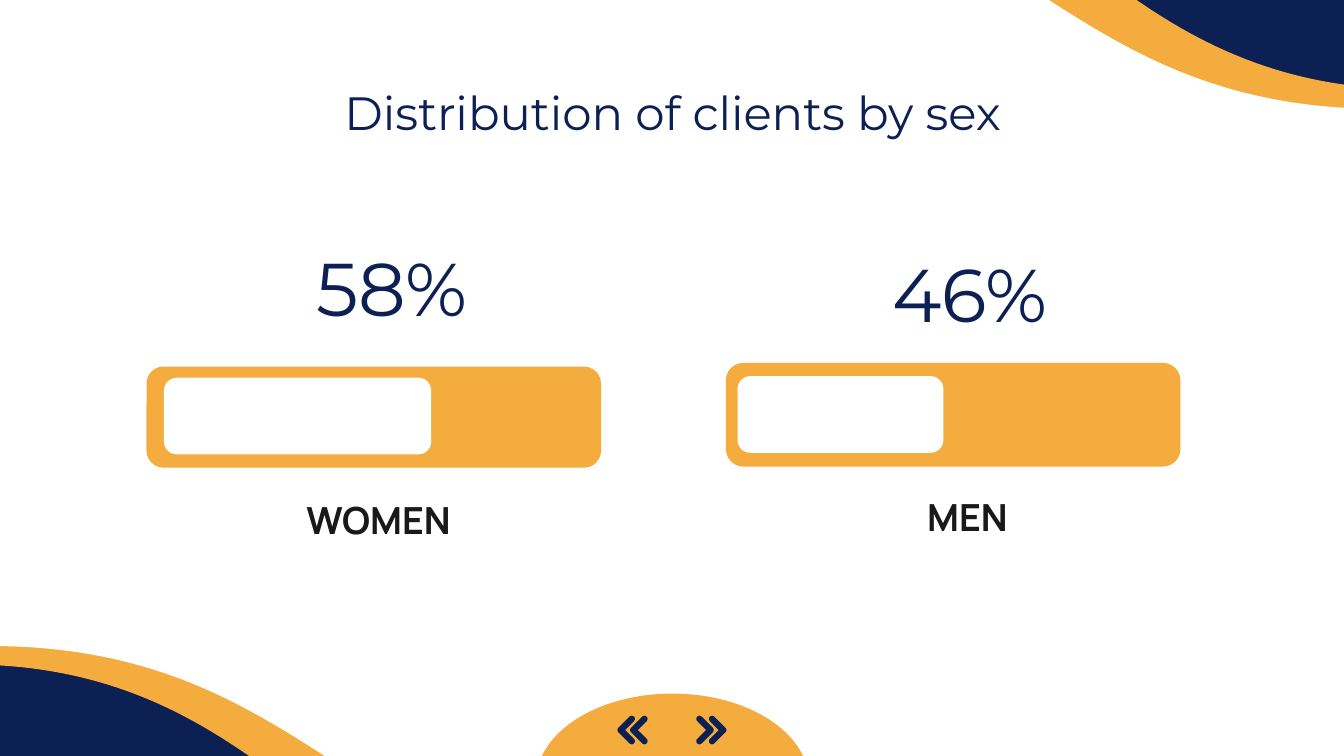
from dataclasses import dataclass
from math import cos, radians, sin, sqrt
from typing import NamedTuple

from pptx import Presentation
from pptx.dml.color import RGBColor
from pptx.enum.shapes import MSO_SHAPE
from pptx.enum.text import MSO_ANCHOR, MSO_AUTO_SIZE, PP_ALIGN
from pptx.oxml.ns import qn
from pptx.util import Cm, Pt

ROUNDED = MSO_SHAPE.ROUNDED_RECTANGLE
WAVE = MSO_SHAPE.FLOWCHART_DOCUMENT
PIE = MSO_SHAPE.PIE
CENTER = PP_ALIGN.CENTER
MIDDLE = MSO_ANCHOR.MIDDLE
NO_AUTOFIT = MSO_AUTO_SIZE.NONE
TITLE_ONLY = 5
PAGE_WIDTH, PAGE_HEIGHT = 25.4, 14.29


class Box(NamedTuple):
    """Position and size in centimetres."""
    left: float
    top: float
    width: float
    height: float

    def lengths(self):
        return [Cm(value) for value in self]


class TextStyle(NamedTuple):
    font: str
    size: int
    color: str
    bold: bool = False


@dataclass(frozen=True)
class Theme:
    navy: str = "0C2054"
    orange: str = "F3AC3D"
    white: str = "FFFFFF"
    title: TextStyle = TextStyle("Montserrat", 25, "0C2054")
    percent: TextStyle = TextStyle("Montserrat", 40, "0C2054")
    label: TextStyle = TextStyle("Manrope", 20, "191919", True)


class Wave(NamedTuple):
    box: Box
    color: str
    rotation: int


class Share(NamedTuple):
    percent: str
    percent_box: Box
    label: str
    label_box: Box
    track: Box
    level: Box


THEME = Theme()

WAVES = [
    Wave(Box(-0.61, -6.1, 14.22, 23.27), THEME.orange, 0),
    Wave(Box(12.52, -2.92, 14.22, 23.27), THEME.orange, 180),
    Wave(Box(-0.18, -3.53, 14.22, 19.63), THEME.white, 0),
    Wave(Box(11.89, -1.83, 14.22, 19.63), THEME.white, 180),
]

SHARES = [
    Share("58%", Box(4.09, 4.7, 6.63, 1.45), "WOMEN", Box(3.84, 9.04, 6.63, 1.55),
          Box(2.77, 6.93, 8.59, 1.91), Box(3.1, 7.14, 5.05, 1.45)),
    Share("46%", Box(15.01, 4.8, 6.63, 1.45), "MEN", Box(15.01, 9.17, 6.55, 1.19),
          Box(13.72, 6.86, 8.59, 1.96), Box(13.94, 7.11, 3.89, 1.45)),
]


def paint(shape, color: str) -> None:
    shape.shadow.inherit = False
    shape.fill.solid()
    shape.fill.fore_color.rgb = RGBColor.from_string(color)
    shape.line.fill.background()


def add_filled(page, kind, box: Box, color: str, adjustments=()):
    shape = page.shapes.add_shape(kind, *box.lengths())
    for index, value in enumerate(adjustments):
        shape.adjustments[index] = value
    paint(shape, color)
    return shape


def mirror(shape, rotation: int) -> None:
    """Flip a shape horizontally and turn it."""
    shape.rotation = rotation
    shape.element.spPr.find(qn("a:xfrm")).set("flipH", "1")


def write(shape, text: str, style: TextStyle) -> None:
    frame = shape.text_frame
    frame.text = text
    frame.word_wrap = True
    frame.auto_size = NO_AUTOFIT
    frame.vertical_anchor = MIDDLE
    frame.margin_left = frame.margin_right = Cm(0.25)
    frame.margin_top = frame.margin_bottom = Cm(0.25)
    para = frame.paragraphs[0]
    para.alignment = CENTER
    font = para.runs[0].font
    font.name, font.size, font.bold = style.font, Pt(style.size), style.bold
    font.color.rgb = RGBColor.from_string(style.color)


def add_title(page, text: str, box: Box) -> None:
    title = page.shapes.title
    title.left, title.top, title.width, title.height = box.lengths()
    write(title, text, THEME.title)
    page.shapes.element.append(title.element)  # in front of the waves


def add_share(page, share: Share) -> None:
    add_filled(page, ROUNDED, share.track, THEME.orange, [0.167])
    add_filled(page, ROUNDED, share.level, THEME.white, [0.167])
    for text, box, style in ((share.percent, share.percent_box, THEME.percent),
                             (share.label, share.label_box, THEME.label)):
        write(page.shapes.add_textbox(*box.lengths()), text, style)


def arc(x: float, y: float, radius: float, start: int, end: int):
    step = 15 if end > start else -15
    return [(x + radius * cos(radians(angle)), y + radius * sin(radians(angle)))
            for angle in range(start, end + step, step)]


def add_double_chevron(page, direction: int) -> None:
    """Two round-ended chevrons; direction is 1 for right, -1 for left."""
    arm, radius, middle = 0.21, 0.06, 13.8
    group = page.shapes.add_group_shape()
    for tip in (0.73, 0.97):
        outline = arc(tip - arm, middle - arm, radius, -45, -225)
        outline.append((tip - radius * sqrt(2), middle))
        outline += arc(tip - arm, middle + arm, radius, 225, 45)
        outline += arc(tip, middle, radius, 45, -45)
        points = [(Cm(PAGE_WIDTH / 2 + direction * x), Cm(y)) for x, y in outline]
        builder = group.shapes.build_freeform(*points[0])
        builder.add_line_segments(points[1:], close=True)
        paint(builder.convert_to_shape(), THEME.navy)


def main() -> None:
    deck = Presentation()
    deck.slide_width, deck.slide_height = Cm(PAGE_WIDTH), Cm(PAGE_HEIGHT)
    page = deck.slides.add_slide(deck.slide_layouts[TITLE_ONLY])
    page.background.fill.solid()
    page.background.fill.fore_color.rgb = RGBColor.from_string(THEME.navy)

    for wave in WAVES:
        mirror(add_filled(page, WAVE, wave.box, wave.color), wave.rotation)
    add_title(page, "Distribution of clients by sex", Box(2.03, 1.47, 21.36, 1.3))
    for share in SHARES:
        add_share(page, share)

    dome = add_filled(page, PIE, Box(10.13, 13.11, 5.16, 3.33), THEME.orange, [0, 108.31])
    mirror(dome, 180)
    for direction in (1, -1):
        add_double_chevron(page, direction)
    deck.save("out.pptx")


if __name__ == "__main__":
    main()
